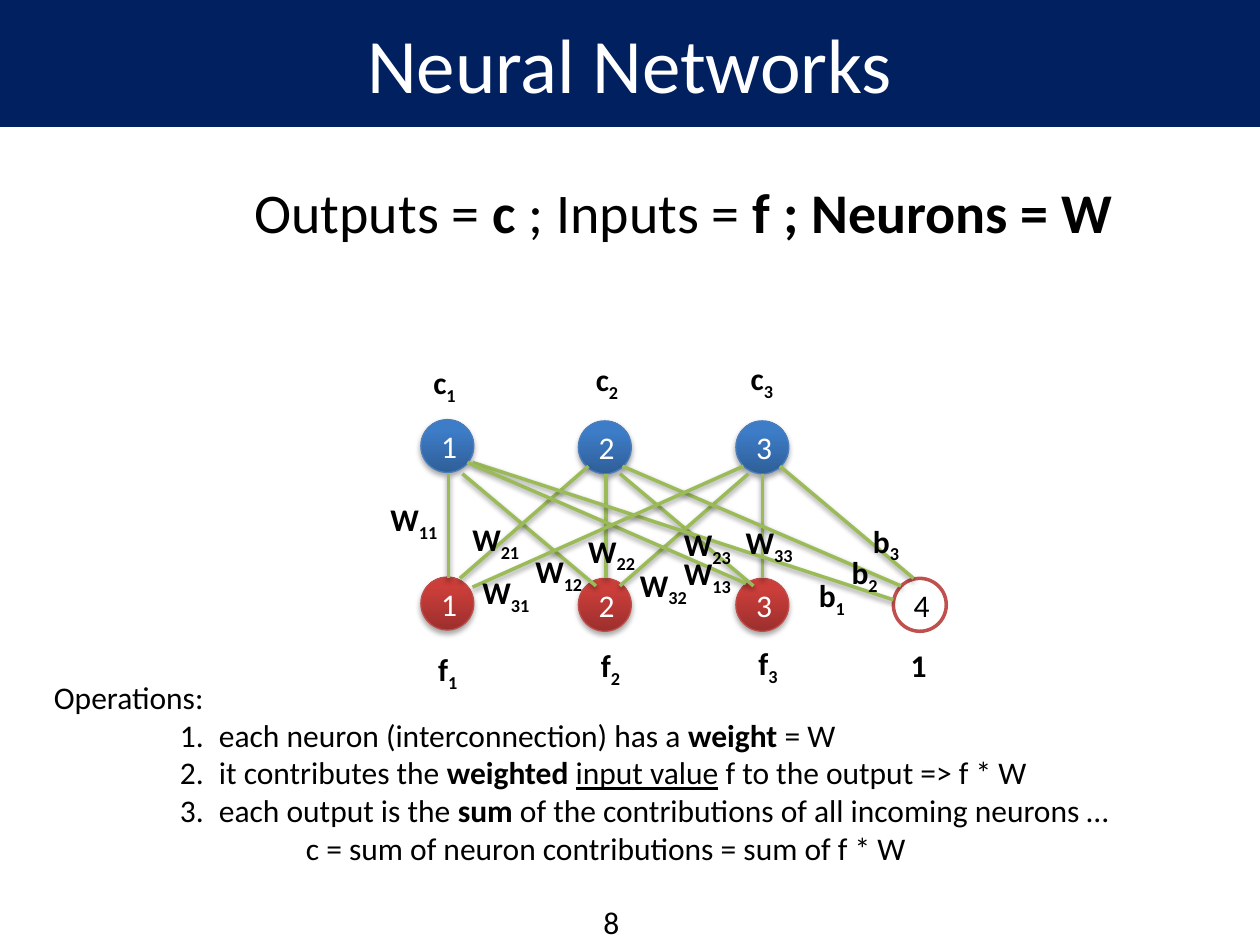
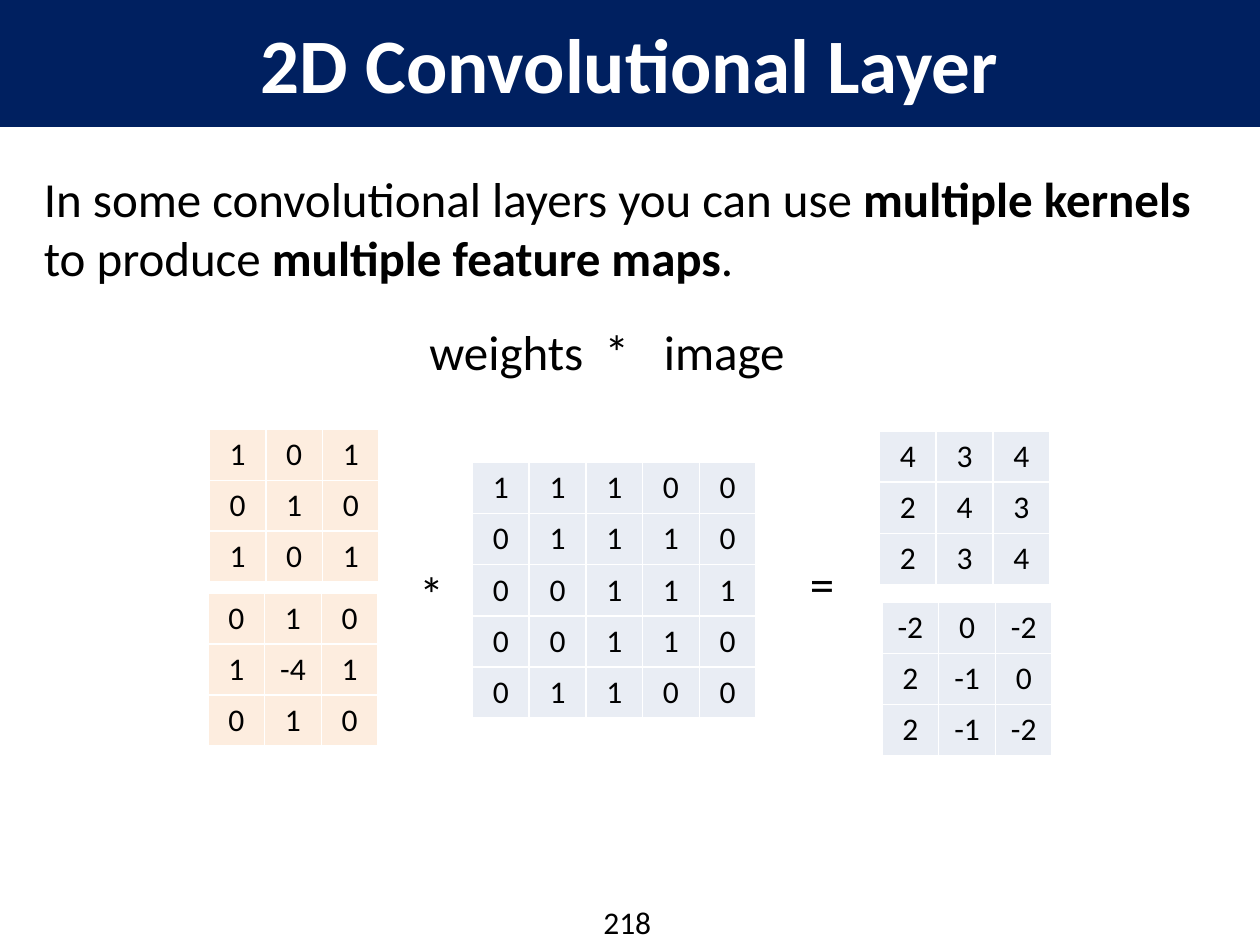
from dataclasses import dataclass
from typing import NamedTuple

from lxml.etree import SubElement
from pptx import Presentation
from pptx.dml.color import RGBColor as Rgb
from pptx.enum.shapes import MSO_CONNECTOR as Connector, MSO_SHAPE as Preset
from pptx.enum.text import MSO_ANCHOR as Anchor, MSO_AUTO_SIZE as AutoSize, PP_ALIGN as Align
from pptx.oxml.ns import qn
from pptx.util import Emu, Pt

EMU_PER_PX = 9144
SLIDE_WIDTH, SLIDE_HEIGHT = 1000, 750


def px(length: int) -> Emu:
    return Emu(length * EMU_PER_PX)


class Gradient(NamedTuple):
    bottom: str
    top: str
    outline: str


class Tint(NamedTuple):
    color: str
    opacity: int = 100


@dataclass(frozen=True)
class Theme:
    font: str = "Calibri"
    navy: str = "002060"
    white: str = "FFFFFF"
    black: str = "000000"
    edge: str = "9BBB59"
    bias: str = "C0504D"
    output: Gradient = Gradient("2F5F99", "3D7CC7", "4B7EBC")
    input: Gradient = Gradient("9C2F2D", "CB3E3A", "BF4C48")
    kernel: Tint = Tint("F79646", 17)
    pixels: Tint = Tint("E9EDF4")
    title_size: int = 44
    formula_size: int = 32
    lead_size: int = 28
    text_size: int = 18
    thin: float = 0.75
    thick: float = 2
    border: float = 1


THEME = Theme()


class Box(NamedTuple):
    left: int
    top: int
    width: int
    height: int

    def emu(self) -> list[Emu]:
        return [px(length) for length in self]


class Span(NamedTuple):
    text: str
    bold: bool = False
    underline: bool = False
    subscript: bool = False


class Label(NamedTuple):
    letter: str
    index: str
    left: int
    top: int


class Edge(NamedTuple):
    start: tuple[int, int]
    end: tuple[int, int]


class Matrix(NamedTuple):
    left: int
    top: int
    height: int
    tint: Tint
    rows: list[str]


LABEL_WIDTHS = {"W": 60, "b": 42, "c": 39, "f": 37, "1": 33}
LABEL_HEIGHT = 40
NODE_SIZE = 42
NODE_LEFT, NODE_STEP = 334, 125
OUTPUT_TOPS, INPUT_TOPS = (333, 334, 334), (458, 459, 459)
CELL_WIDTH = 45

EDGES = [
    Edge((356, 376), (356, 459)), Edge((481, 376), (481, 459)),
    Edge((605, 376), (605, 459)), Edge((619, 370), (725, 459)),
    Edge((492, 376), (598, 465)), Edge((367, 376), (473, 465)),
    Edge((594, 376), (492, 465)), Edge((467, 370), (365, 459)),
    Edge((494, 370), (715, 465)), Edge((375, 367), (709, 476)),
    Edge((371, 367), (592, 463)), Edge((590, 370), (375, 466)),
]

LABELS = [
    Label("f", "1", 338, 511), Label("f", "2", 467, 508), Label("f", "3", 592, 506),
    Label("c", "1", 334, 283), Label("c", "2", 463, 281), Label("c", "3", 586, 280),
    Label("W", "11", 300, 392), Label("W", "21", 365, 408), Label("W", "12", 415, 433),
    Label("W", "22", 457, 417), Label("W", "32", 498, 444), Label("W", "13", 533, 435),
    Label("W", "23", 533, 412), Label("W", "33", 582, 410), Label("W", "31", 373, 450),
    Label("b", "1", 640, 452), Label("b", "2", 666, 434), Label("b", "3", 683, 409),
    Label("1", "", 713, 508),
]

OPERATIONS = [
    [Span("each neuron (interconnection) has a "), Span("weight", bold=True), Span(" = W")],
    [Span("it contributes the "), Span("weighted ", bold=True),
     Span("input value", underline=True), Span(" f to the output => f * W")],
    [Span("each output is the "), Span("sum", bold=True),
     Span(" of the contributions of all incoming neurons …")],
]

MATRICES = [
    Matrix(375, 367, 203, THEME.pixels,
           ["1 1 1 0 0", "0 1 1 1 0", "0 0 1 1 1", "0 0 1 1 0", "0 1 1 0 0"]),
    Matrix(166, 341, 121, THEME.kernel, ["1 0 1", "0 1 0", "1 0 1"]),
    Matrix(165, 471, 121, THEME.kernel, ["0 1 0", "1 -4 1", "0 1 0"]),
    Matrix(698, 342, 122, THEME.pixels, ["4 3 4", "2 4 3", "2 3 4"]),
    Matrix(700, 478, 122, THEME.pixels, ["-2 0 -2", "2 -1 0", "2 -1 -2"]),
]


def write(paragraph, spans: list[Span], size: int, color: str = THEME.black) -> None:
    for span in spans:
        run = paragraph.add_run()
        run.text = span.text
        run.font.name = THEME.font
        run.font.size = Pt(size)
        run.font.bold = span.bold
        run.font.underline = span.underline
        run.font.color.rgb = Rgb.from_string(color)
        if span.subscript:
            run._r.get_or_add_rPr().set("baseline", "-25000")


def add_text(slide, box: Box, spans: list[Span], size: int, wrap: bool = True):
    frame = slide.shapes.add_textbox(*box.emu()).text_frame
    frame.word_wrap = wrap
    frame.auto_size = AutoSize.SHAPE_TO_FIT_TEXT
    write(frame.paragraphs[0], spans, size)
    return frame


def set_indent(paragraph, margin: int, first_line: int = 0) -> None:
    properties = paragraph._p.get_or_add_pPr()
    properties.set("marL", str(px(margin)))
    properties.set("indent", str(px(first_line)))


def outline(line, color: str, width: float) -> None:
    line.color.rgb = Rgb.from_string(color)
    line.width = Pt(width)


def drop_shadow(shape, distance: int, opacity: int) -> None:
    effects = SubElement(shape._element.spPr, qn("a:effectLst"))
    shadow = SubElement(effects, qn("a:outerShdw"), blurRad="40000", dist=str(distance),
                        dir="5400000", rotWithShape="0")
    tone = SubElement(shadow, qn("a:srgbClr"), val=THEME.black)
    SubElement(tone, qn("a:alpha"), val=str(opacity * 1000))


def add_titled_slide(deck, title: str, page: str, bold: bool = False):
    slide = deck.slides.add_slide(deck.slide_layouts[5])
    band = slide.shapes.title
    band.left, band.top, band.width, band.height = Box(0, 0, SLIDE_WIDTH, 100).emu()
    band.fill.solid()
    band.fill.fore_color.rgb = Rgb.from_string(THEME.navy)
    outline(band.line, THEME.navy, THEME.thin)
    band.text_frame.vertical_anchor = Anchor.MIDDLE
    band.text_frame.auto_size = AutoSize.NONE
    heading = band.text_frame.paragraphs[0]
    heading.alignment = Align.CENTER
    write(heading, [Span(title, bold=bold)], THEME.title_size, THEME.white)
    add_text(slide, Box(469, 712, 72, 40), [Span(page)], THEME.text_size)
    return slide


def add_node(slide, column: int, top: int, gradient: Gradient | None = None) -> None:
    box = Box(NODE_LEFT + column * NODE_STEP, top, NODE_SIZE, NODE_SIZE)
    node = slide.shapes.add_shape(Preset.OVAL, *box.emu())
    if gradient:
        node.fill.gradient()
        node.fill.gradient_angle = 90
        stops = zip(node.fill.gradient_stops, (gradient.bottom, gradient.top), (0, 0.8))
        for stop, color, position in stops:
            stop.color.rgb = Rgb.from_string(color)
            stop.position = position
        outline(node.line, gradient.outline, THEME.thin)
        drop_shadow(node, 23000, 35)
    else:
        node.fill.solid()
        node.fill.fore_color.rgb = Rgb.from_string(THEME.white)
        outline(node.line, THEME.bias, THEME.thick)
        node.shadow.inherit = False
    node.text_frame.vertical_anchor = Anchor.MIDDLE
    number = node.text_frame.paragraphs[0]
    number.alignment = Align.CENTER
    write(number, [Span(str(column + 1))], THEME.text_size,
          THEME.white if gradient else THEME.black)


def add_edge(slide, edge: Edge) -> None:
    ends = [px(length) for length in (*edge.start, *edge.end)]
    link = slide.shapes.add_connector(Connector.STRAIGHT, *ends)
    outline(link.line, THEME.edge, THEME.thick)
    drop_shadow(link, 20000, 38)


def add_label(slide, label: Label) -> None:
    spans = [Span(label.letter, bold=True)]
    if label.index:
        spans.append(Span(label.index, bold=True, subscript=True))
    box = Box(label.left, label.top, LABEL_WIDTHS[label.letter], LABEL_HEIGHT)
    add_text(slide, box, spans, THEME.text_size, wrap=False)


def style_cell(cell, tint: Tint) -> None:
    properties = cell._tc.get_or_add_tcPr()
    for side in ("lnL", "lnR", "lnT", "lnB"):
        border = SubElement(properties, qn(f"a:{side}"), w=str(Pt(THEME.border)))
        SubElement(SubElement(border, qn("a:solidFill")), qn("a:srgbClr"), val=THEME.white)
    cell.fill.solid()
    cell.fill.fore_color.rgb = Rgb.from_string(tint.color)
    if tint.opacity < 100:
        tone = properties.find(f"{qn('a:solidFill')}/{qn('a:srgbClr')}")
        SubElement(tone, qn("a:alpha"), val=str(tint.opacity * 1000))


def add_matrix(slide, matrix: Matrix) -> None:
    values = [row.split() for row in matrix.rows]
    columns = len(values[0])
    box = Box(matrix.left, matrix.top, columns * CELL_WIDTH, matrix.height)
    grid = slide.shapes.add_table(len(values), columns, *box.emu()).table
    grid.first_row = grid.horz_banding = False
    for r, row in enumerate(values):
        for c, value in enumerate(row):
            cell = grid.cell(r, c)
            style_cell(cell, matrix.tint)
            entry = cell.text_frame.paragraphs[0]
            entry.alignment = Align.CENTER
            write(entry, [Span(value)], THEME.text_size)


def build_network(deck) -> None:
    slide = add_titled_slide(deck, "Neural Networks", "8")
    add_text(slide, Box(192, 136, 775, 64),
             [Span("Outputs = "), Span("c", bold=True), Span(" ; Inputs = "),
              Span("f ; Neurons = W", bold=True)], THEME.formula_size)
    for tops, gradient in ((OUTPUT_TOPS, THEME.output), (INPUT_TOPS, THEME.input)):
        for column, top in enumerate(tops):
            add_node(slide, column, top, gradient)
    add_node(slide, 3, 459)
    for edge in EDGES:
        add_edge(slide, edge)
    for label in LABELS:
        add_label(slide, label)
    notes = add_text(slide, Box(33, 533, 867, 162), [Span("Operations:")], THEME.text_size)
    for spans in OPERATIONS:
        step = notes.add_paragraph()
        set_indent(step, 131, -31)
        SubElement(step._p.get_or_add_pPr(), qn("a:buAutoNum"), type="arabicPeriod")
        write(step, spans, THEME.text_size)
    result = notes.add_paragraph()
    set_indent(result, 200)
    write(result, [Span("c = sum of neuron contributions = sum of f * W")], THEME.text_size)


def build_convolution(deck) -> None:
    slide = add_titled_slide(deck, "2D Convolutional Layer", "218", bold=True)
    add_text(slide, Box(25, 129, 950, 104),
             [Span("In some convolutional layers you can use "),
              Span("multiple kernels ", bold=True), Span("to produce "),
              Span("multiple feature maps", bold=True), Span(".")], THEME.lead_size)
    weights = add_text(slide, Box(331, 250, 186, 57), [Span("weights\t*")], THEME.lead_size)
    tabs = SubElement(weights.paragraphs[0]._p.get_or_add_pPr(), qn("a:tabLst"))
    SubElement(tabs, qn("a:tab"), pos=str(px(139)), algn="l")
    for text, box in (("image", Box(517, 250, 150, 57)), ("=", Box(633, 434, 150, 57)),
                      ("*", Box(323, 442, 38, 57))):
        add_text(slide, box, [Span(text)], THEME.lead_size)
    for matrix in MATRICES:
        add_matrix(slide, matrix)


def main() -> None:
    deck = Presentation()
    deck.slide_width, deck.slide_height = px(SLIDE_WIDTH), px(SLIDE_HEIGHT)
    build_network(deck)
    build_convolution(deck)
    deck.save("out.pptx")


if __name__ == "__main__":
    main()
